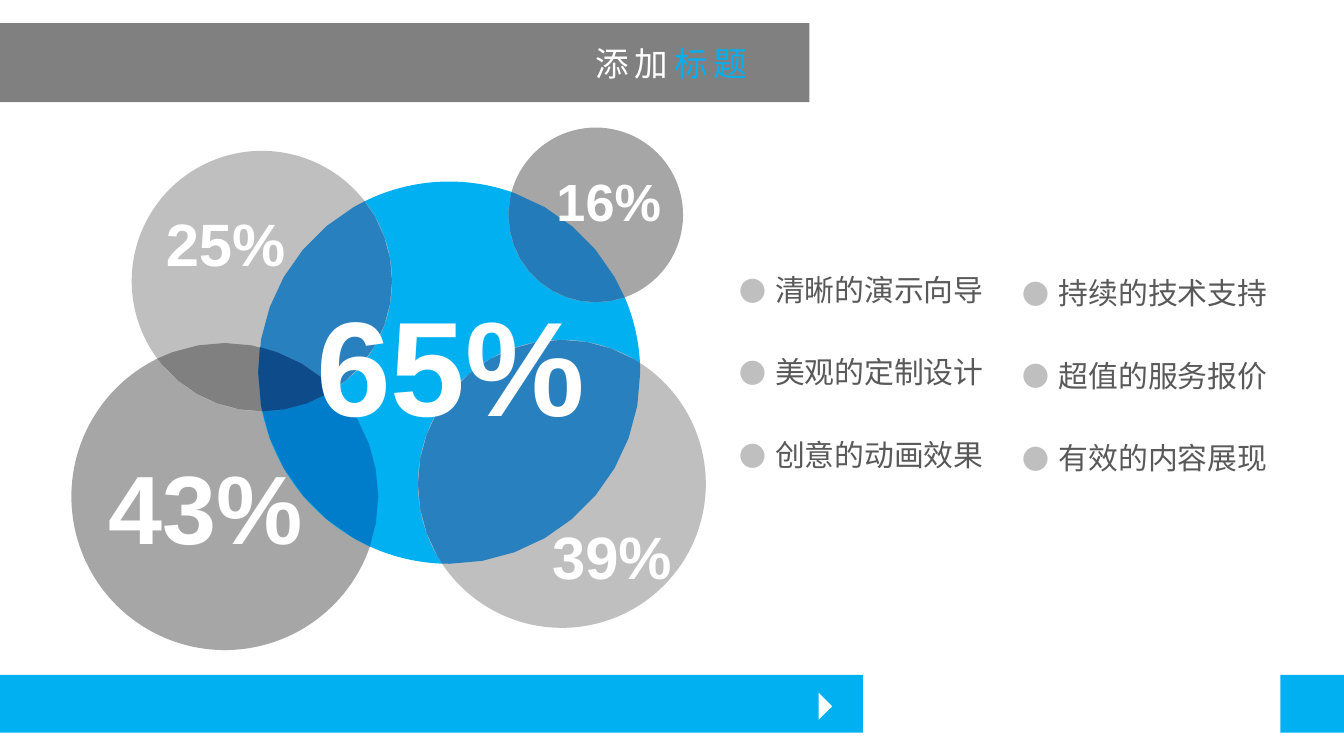
from dataclasses import dataclass
from itertools import combinations
from math import atan2, cos, hypot, radians, sin, sqrt

from lxml import etree
from pptx import Presentation
from pptx.dml.color import RGBColor
from pptx.enum.shapes import MSO_SHAPE
from pptx.enum.text import MSO_ANCHOR, MSO_AUTO_SIZE, PP_ALIGN
from pptx.oxml.ns import qn
from pptx.util import Cm, Pt

RECTANGLE, OVAL, TRIANGLE = MSO_SHAPE.RECTANGLE, MSO_SHAPE.OVAL, MSO_SHAPE.RIGHT_TRIANGLE
CENTER, LEFT = PP_ALIGN.CENTER, PP_ALIGN.LEFT
TOP, MIDDLE = MSO_ANCHOR.TOP, MSO_ANCHOR.MIDDLE
FIXED = MSO_AUTO_SIZE.NONE


@dataclass(frozen=True)
class Theme:
    white: str = "FFFFFF"
    accent: str = "00B0F0"
    overlap: str = "0070C0"
    navy: str = "002060"
    text: str = "595959"
    dark: str = "808080"
    medium: str = "A6A6A6"
    light: str = "BFBFBF"
    latin: str = "Arial"
    chinese: str = "Noto Sans CJK SC"
    title_size: int = 18
    list_size: int = 16


theme = Theme()


def write(para, text, *, size, color, font, bold=False, spacing=0):
    """Add a formatted span of text to a paragraph."""
    span = para.add_run()
    span.text = text
    span.font.size = Pt(size)
    span.font.bold = bold
    span.font.color.rgb = RGBColor.from_string(color)
    span.font.name = font
    properties = span.font._element
    etree.SubElement(properties, qn("a:ea"), typeface=font)
    if spacing:
        properties.set("spc", str(spacing * 100))


def paint(shape, color, *, alpha=100):
    """Give a shape a flat fill, with no line or shadow."""
    shape.shadow.inherit = False
    shape.line.fill.background()
    shape.fill.solid()
    shape.fill.fore_color.rgb = RGBColor.from_string(color)
    if alpha < 100:
        tint = shape.fill._xPr.find(".//" + qn("a:srgbClr"))
        etree.SubElement(tint, qn("a:alpha"), val=str(alpha * 1000))


deck = Presentation()
deck.slide_width, deck.slide_height = Cm(25.4), Cm(14.28)
page = deck.slides.add_slide(deck.slide_layouts[3])
shapes = page.shapes
title, *columns = page.placeholders

# Footer bars with arrow, then the header bar
for left, top, width, height, color in [
    (0, 12.75, 16.31, 1.09, theme.accent),
    (24.2, 12.75, 1.2, 1.09, theme.accent),
    (0, 0.44, 15.3, 1.49, theme.dark),
]:
    bar = shapes.add_shape(RECTANGLE, Cm(left), Cm(top), Cm(width), Cm(height))
    paint(bar, color)
arrow = shapes.add_shape(TRIANGLE, Cm(15.29), Cm(13.16), Cm(0.36), Cm(0.36))
arrow.rotation = 225
paint(arrow, theme.white)

# Title, in front of the header bar
bar.element.addnext(title.element)
title.left, title.top, title.width, title.height = Cm(9.65), Cm(0.69), Cm(6.07), Cm(1.02)
title.text_frame.auto_size = FIXED
title.text_frame.vertical_anchor = MIDDLE
para = title.text_frame.paragraphs[0]
para.alignment = CENTER
for text, color in [("添加", theme.white), ("标题", theme.accent)]:
    write(para, text, size=theme.title_size, color=color, font=theme.chinese, spacing=3)

# Circles: centre x, centre y, radius in centimetres, colour
circles = {
    "43%": (4.25, 9.38, 2.9, theme.medium),
    "65%": (8.49, 7.04, 3.61, theme.accent),
    "39%": (10.62, 9.14, 2.72, theme.light),
    "16%": (11.26, 4.06, 1.65, theme.medium),
    "25%": (4.95, 5.31, 2.46, theme.light),
}
for x, y, radius, color in circles.values():
    circle = shapes.add_shape(OVAL, Cm(x - radius), Cm(y - radius), Cm(2 * radius), Cm(2 * radius))
    paint(circle, color)

# Overlaps: crossings and rim points that lie inside every circle of the group
for names, color, alpha in [
    (("65%", "39%"), theme.overlap, 79),
    (("65%", "16%"), theme.overlap, 79),
    (("65%", "25%"), theme.overlap, 79),
    (("25%", "43%"), theme.dark, 100),
    (("65%", "43%"), theme.overlap, 79),
    (("65%", "25%", "43%"), theme.navy, 48),
]:
    group = [circles[name][:3] for name in names]
    rim = [
        (x + radius * cos(radians(angle)), y + radius * sin(radians(angle)))
        for x, y, radius in group
        for angle in range(0, 360, 10)
    ]
    for (x1, y1, r1), (x2, y2, r2) in combinations(group, 2):
        gap = hypot(x2 - x1, y2 - y1)
        along = (gap**2 + r1**2 - r2**2) / (2 * gap)
        across = sqrt(r1**2 - along**2)
        ux, uy = (x2 - x1) / gap, (y2 - y1) / gap
        for side in (across, -across):
            rim.append((x1 + along * ux - side * uy, y1 + along * uy + side * ux))
    rim = [
        (px, py) for px, py in rim
        if all(hypot(px - x, py - y) <= radius + 0.001 for x, y, radius in group)
    ]
    mid_x = sum(px for px, _ in rim) / len(rim)
    mid_y = sum(py for _, py in rim) / len(rim)
    rim.sort(key=lambda point: atan2(point[1] - mid_y, point[0] - mid_x))
    points = [(Cm(px), Cm(py)) for px, py in rim]
    builder = shapes.build_freeform(*points[0])
    builder.add_line_segments(points[1:], close=True)
    paint(builder.convert_to_shape(), color, alpha=alpha)

# Percentages
for text, left, top, width, height, size in [
    ("43%", 1.17, 8.33, 5.44, 2.44, 52),
    ("16%", 10.03, 3.07, 2.95, 1.37, 28),
    ("39%", 9.7, 9.7, 3.73, 1.63, 32),
    ("25%", 2.59, 3.78, 3.35, 1.55, 32),
    ("65%", 5.46, 5.21, 6.12, 3.33, 72),
]:
    box = shapes.add_textbox(Cm(left), Cm(top), Cm(width), Cm(height))
    box.text_frame.word_wrap = True
    para = box.text_frame.paragraphs[0]
    para.alignment = CENTER
    write(para, text, size=size, color=theme.white, font=theme.latin, bold=True)

# Bulleted lists
lists = [
    (13.97, 5.0, ["清晰的演示向导", "美观的定制设计", "创意的动画效果"]),
    (19.33, 5.06, ["持续的技术支持", "超值的服务报价", "有效的内容展现"]),
]
for column, (left, top, items) in zip(columns, lists):
    column.left, column.top, column.width, column.height = Cm(left), Cm(top), Cm(5.5), Cm(4.4)
    frame = column.text_frame
    frame.auto_size = FIXED
    frame.vertical_anchor = TOP
    frame.margin_left = 0
    for index, item in enumerate(items):
        para = frame.paragraphs[0] if index == 0 else frame.add_paragraph()
        para.alignment = LEFT
        para.space_before = Pt(25 if index else 0)
        properties = para._p.get_or_add_pPr()
        properties.set("marL", str(Cm(0.68)))
        properties.set("indent", str(-Cm(0.68)))
        bullet_color = etree.SubElement(properties, qn("a:buClr"))
        etree.SubElement(bullet_color, qn("a:srgbClr"), val=theme.light)
        etree.SubElement(properties, qn("a:buSzPct"), val="90000")
        etree.SubElement(properties, qn("a:buFont"), typeface=theme.chinese)
        etree.SubElement(properties, qn("a:buChar"), char="●")
        write(para, item, size=theme.list_size, color=theme.text, font=theme.chinese)

deck.save("out.pptx")
